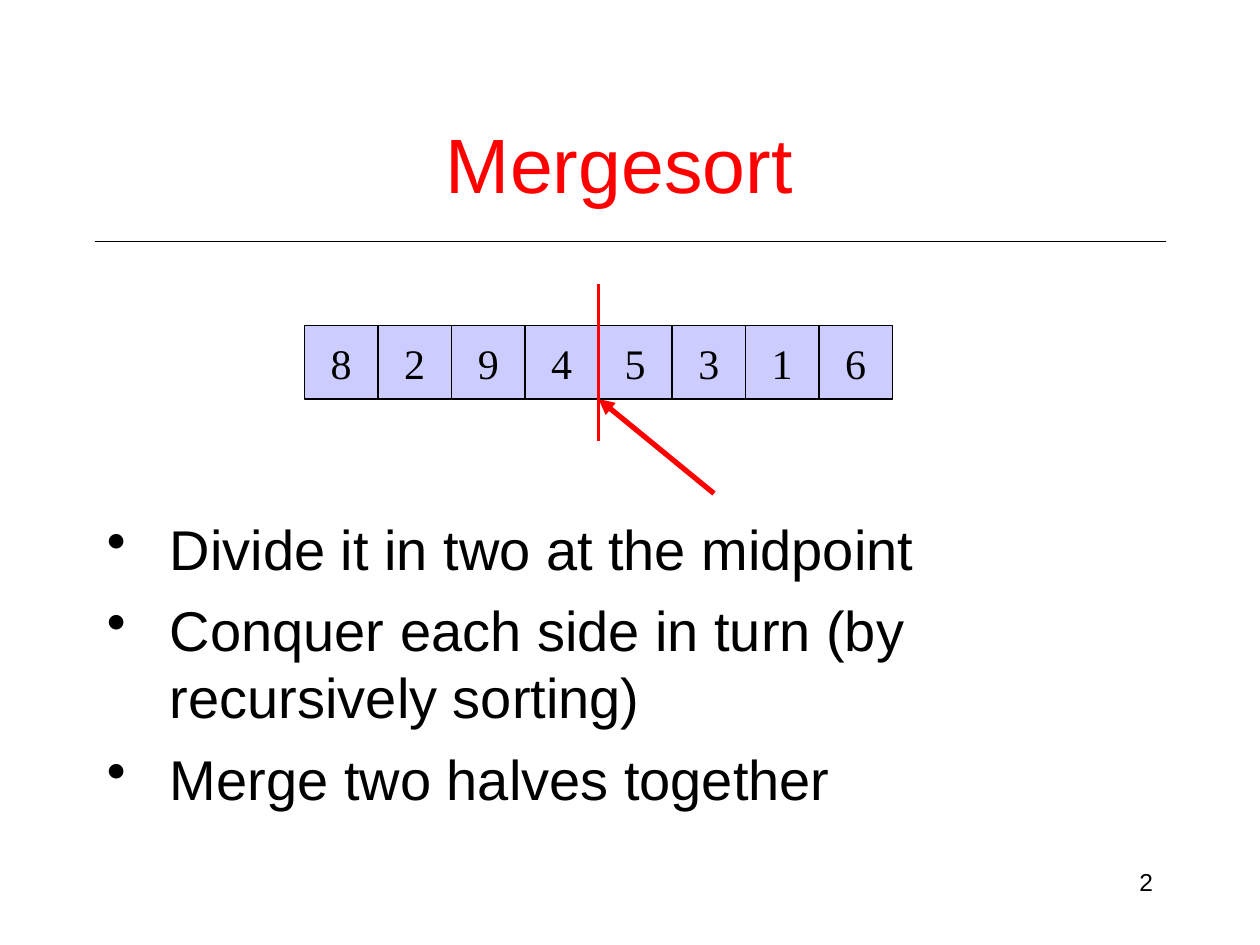
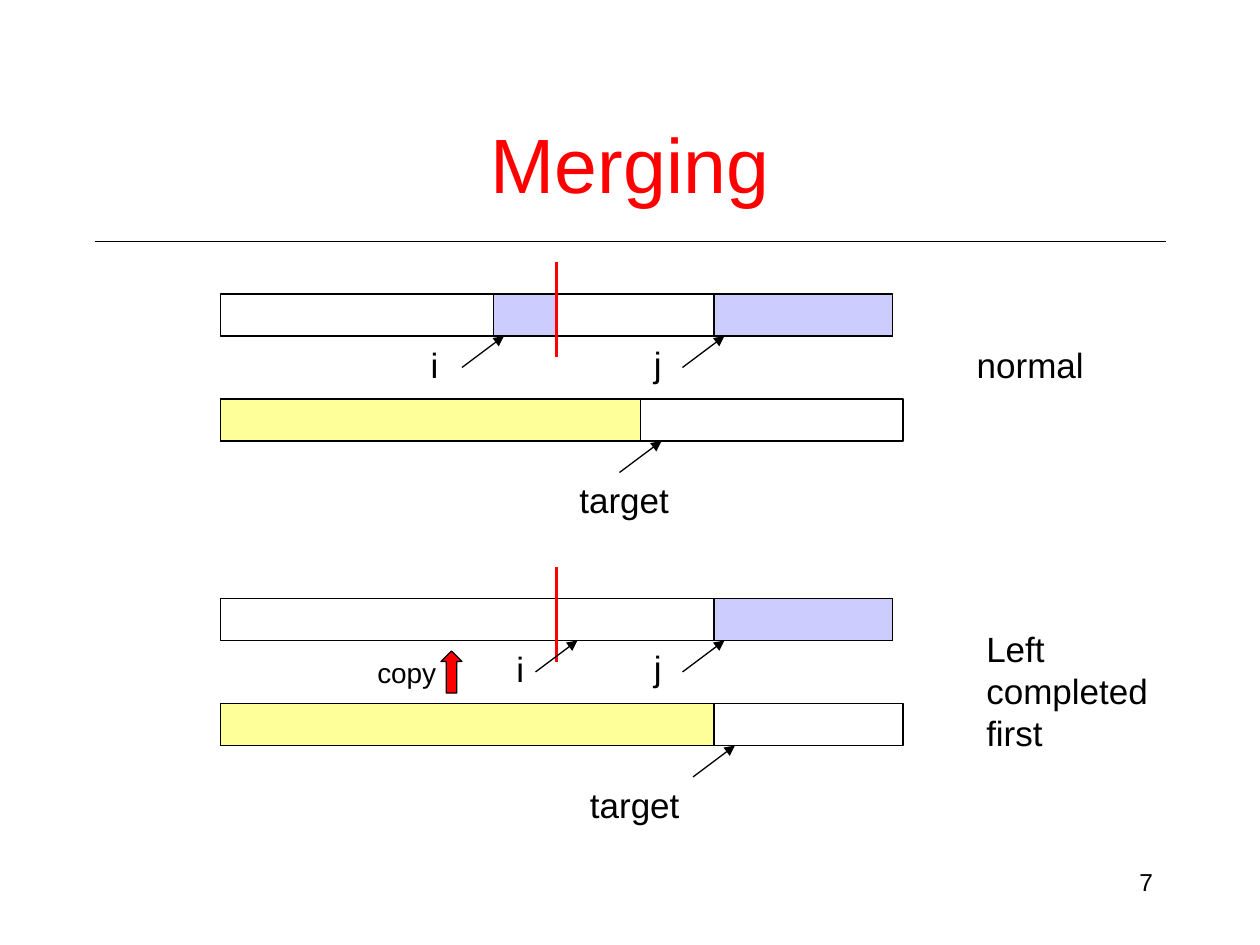
from lxml.etree import SubElement
from pptx import Presentation
from pptx.dml.color import RGBColor
from pptx.enum.shapes import MSO_CONNECTOR, MSO_SHAPE
from pptx.enum.text import MSO_ANCHOR, PP_ALIGN
from pptx.oxml.ns import qn
from pptx.util import Pt

STRAIGHT = MSO_CONNECTOR.STRAIGHT
RECTANGLE, UP_ARROW = MSO_SHAPE.RECTANGLE, MSO_SHAPE.UP_ARROW
TOP, MIDDLE = MSO_ANCHOR.TOP, MSO_ANCHOR.MIDDLE
LEFT, CENTER, RIGHT = PP_ALIGN.LEFT, PP_ALIGN.CENTER, PP_ALIGN.RIGHT

BLACK = RGBColor(0x00, 0x00, 0x00)
RED = RGBColor(0xFF, 0x00, 0x00)
LAVENDER = RGBColor(0xCC, 0xCC, 0xFF)
YELLOW = RGBColor(0xFF, 0xFF, 0x99)

SANS, SERIF = "Arial", "Times New Roman"
TITLE = {"size": Pt(44), "name": SANS, "color": RED}
BODY = {"size": Pt(32), "name": SANS, "color": BLACK}
LABEL = {"size": Pt(20), "name": SANS, "color": BLACK}
SMALL_LABEL = {**LABEL, "size": Pt(16)}
NUMBER = {**LABEL, "size": Pt(14)}
CELL_TEXT = {"size": Pt(24), "name": SERIF, "color": BLACK}

BAR_LEFT, BAR_HEIGHT = 126, 24
HALF_WIDTH, TARGET_WIDTH = 192, 390
MIDPOINT = BAR_LEFT + HALF_WIDTH
SOURCE_END = MIDPOINT + HALF_WIDTH
J_START = 408
POINTER_WIDTH, POINTER_HEIGHT = 24, 18


def points(*lengths):
    return [Pt(length) for length in lengths]


def write(box, lines, style, align=LEFT, anchor=TOP, wrap=True):
    frame = box.text_frame
    frame.word_wrap = wrap
    frame.vertical_anchor = anchor
    for index, line in enumerate(lines):
        para = frame.paragraphs[0] if index == 0 else frame.add_paragraph()
        para.alignment = align
        span = para.add_run()
        span.text = line
        for key, value in style.items():
            if key == "color":
                span.font.color.rgb = value
            else:
                setattr(span.font, key, value)
    return frame


def add_text(page, place, lines, style, **layout):
    box = page.shapes.add_textbox(*points(*place))
    return write(box, lines, style, **layout)


def add_label(page, left, top, width, *lines, style=LABEL):
    height = 8 + 23.5 * len(lines)
    add_text(page, (left, top, width, height), lines, style, wrap=False)


def add_figure(page, place, fill=None, preset=RECTANGLE):
    figure = page.shapes.add_shape(preset, *points(*place))
    figure.shadow.inherit = False
    if fill is None:
        figure.fill.background()
    else:
        figure.fill.solid()
        figure.fill.fore_color.rgb = fill
    figure.line.color.rgb = BLACK
    figure.line.width = Pt(0.75)
    return figure


def add_line(page, start, end, color=BLACK, width=0.75, arrow=False):
    line = page.shapes.add_connector(STRAIGHT, *points(*start, *end))
    line.line.color.rgb = color
    line.line.width = Pt(width)
    properties = line._element.spPr
    if arrow:
        SubElement(properties.find(qn("a:ln")), qn("a:tailEnd"), type="triangle")
    SubElement(properties, qn("a:effectLst"))


def add_page(deck, title, number, title_left):
    page = deck.slides.add_slide(deck.slide_layouts[6])
    add_line(page, (54, 138), (666, 138))
    add_text(page, (516, 492, 150, 36), [number], NUMBER, align=RIGHT)
    add_text(page, (title_left, 48, 612, 90), [title], TITLE, align=CENTER, anchor=MIDDLE)
    return page


def add_bullets(page, place, lines, margin_top):
    frame = add_text(page, place, lines, BODY)
    frame.margin_top = Pt(margin_top)
    for para in frame.paragraphs:
        para.space_before = Pt(8)
        properties = para._p.get_or_add_pPr()
        properties.set("marL", str(Pt(36)))
        properties.set("indent", str(-Pt(36)))
        SubElement(properties, qn("a:buChar"), char="•")


def add_array(page, left, top, side, values):
    for index, value in enumerate(values):
        cell = add_figure(page, (left + index * side, top, side, side), LAVENDER)
        write(cell, [value], CELL_TEXT, align=CENTER, anchor=MIDDLE, wrap=False)


def add_pointer(page, tip, bar_bottom):
    start = (tip - POINTER_WIDTH, bar_bottom + POINTER_HEIGHT)
    add_line(page, start, (tip, bar_bottom), arrow=True)


def add_merge_state(page, top, i_tip, i_label, filled, target_tip, target_label, i_start=MIDPOINT):
    target_top = top + 60
    source_bottom = top + BAR_HEIGHT
    target_bottom = target_top + BAR_HEIGHT
    for left in (BAR_LEFT, MIDPOINT):
        add_figure(page, (left, top, HALF_WIDTH, BAR_HEIGHT))
    for start, end in ((i_start, MIDPOINT), (J_START, SOURCE_END)):
        if start < end:
            add_figure(page, (start, top, end - start, BAR_HEIGHT), LAVENDER)
    add_figure(page, (BAR_LEFT, target_top, TARGET_WIDTH, BAR_HEIGHT))
    add_figure(page, (BAR_LEFT, target_top, filled, BAR_HEIGHT), YELLOW)
    add_line(page, (MIDPOINT, top - 18), (MIDPOINT, top + 36), RED, 1.5)
    add_pointer(page, i_tip, source_bottom)
    add_pointer(page, J_START + 6, source_bottom)
    add_pointer(page, target_tip, target_bottom)
    add_label(page, i_label, source_bottom + 0.5, 18.5, "i")
    add_label(page, 366.5, source_bottom, 18.5, "j")
    add_label(page, target_label, target_bottom + POINTER_HEIGHT, 65.5, "target")


def build_mergesort(deck):
    page = add_page(deck, "Mergesort", "2", 48)
    add_bullets(page, (54, 156, 612, 324), [
        "Divide it in two at the midpoint",
        "Conquer each side in turn (by recursively sorting)",
        "Merge two halves together",
    ], margin_top=138)
    add_line(page, (408, 282), (342, 228), RED, 3, arrow=True)
    add_array(page, 174, 186, 42, "82945316")
    add_line(page, (342, 162), (342, 252), RED, 2.25)


def build_merging(deck):
    page = add_page(deck, "Merging", "7", 54)
    add_merge_state(page, 168, i_tip=288, i_label=239, filled=240,
                    target_tip=378, target_label=324, i_start=282)
    add_label(page, 551, 193, 75.5, "normal")
    add_merge_state(page, 342, i_tip=330, i_label=288, filled=282,
                    target_tip=420, target_label=330)
    add_label(page, 556.5, 355, 145.5, "Left completed", "first")
    add_figure(page, (252, 372, 12, 24), RED, UP_ARROW)
    add_label(page, 208.5, 371, 48.5, "copy", style=SMALL_LABEL)


def main():
    deck = Presentation()
    deck.slide_width, deck.slide_height = points(720, 540)
    build_mergesort(deck)
    build_merging(deck)
    deck.save("out.pptx")


if __name__ == "__main__":
    main()
